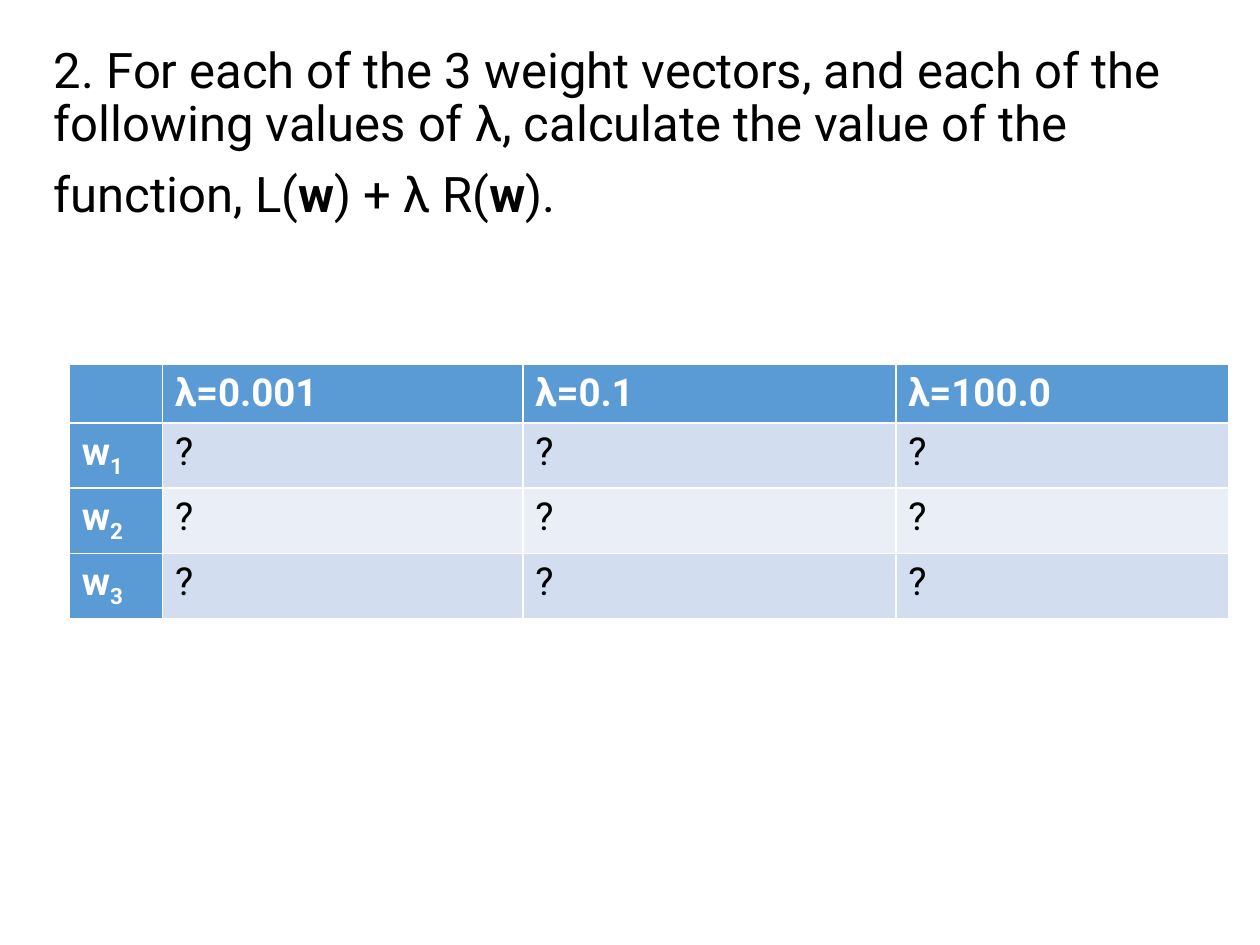
from typing import NamedTuple

from pptx import Presentation
from pptx.dml.color import RGBColor as Rgb
from pptx.util import Inches, Pt

FONT = "Roboto"
COLORS = {
    "text": "000000",
    "light": "FFFFFF",
    "head": "5B9BD5",
    "odd": "D2DEEF",
    "even": "EAEFF7",
}


class Part(NamedTuple):
    text: str
    bold: bool = False
    sub: bool = False


def write(para, parts: list[Part], size: int, color: str) -> None:
    font = para.font
    font.name, font.size = FONT, Pt(size)
    font.color.rgb = Rgb.from_string(COLORS[color])
    for part in parts:
        run = para.add_run()
        run.text = part.text
        run.font.bold = part.bold
        if part.sub:
            run.font._element.set("baseline", "-25000")


def paint(cell, parts: list[Part], fill: str, color: str) -> None:
    cell.fill.solid()
    cell.fill.fore_color.rgb = Rgb.from_string(COLORS[fill])
    write(cell.text_frame.paragraphs[0], parts, 22, color)


deck = Presentation()
deck.slide_width, deck.slide_height = Inches(10), Inches(7.5)
slide = deck.slides.add_slide(deck.slide_layouts[6])

# Question
QUESTION = [
    [Part("2. For each of the 3 weight vectors, and each of the "
          "following values of λ, calculate the value of the")],
    [Part("function, L("), Part("w", True), Part(") + λ R("),
     Part("w", True), Part(").")],
]
box = slide.shapes.add_textbox(
    Inches(0.33), Inches(0.32), Inches(9.67), Inches(7.01))
frame = box.text_frame
frame.word_wrap = True
for i, parts in enumerate(QUESTION):
    para = frame.add_paragraph() if i else frame.paragraphs[0]
    para.line_spacing, para.space_before = 0.9, Pt(10)
    write(para, parts, 28, "text")

# Table of values to fill in
LAMBDAS = ["0.001", "0.1", "100.0"]
WIDTHS = [0.74, 2.86, 2.96, 2.64]
HEIGHTS = [0.45, 0.5, 0.5, 0.5]
table = slide.shapes.add_table(
    len(HEIGHTS), len(WIDTHS), Inches(0.55), Inches(2.89),
    Inches(sum(WIDTHS)), Inches(sum(HEIGHTS))).table
table.first_col = True
for col, width in zip(table.columns, WIDTHS):
    col.width = Inches(width)
for row, height in zip(table.rows, HEIGHTS):
    row.height = Inches(height)

heads = [[]] + [[Part(f"λ={value}", True)] for value in LAMBDAS]
for c, parts in enumerate(heads):
    paint(table.cell(0, c), parts, "head", "light")
for r in range(1, len(HEIGHTS)):
    name = [Part("w", True), Part(str(r), True, True)]
    paint(table.cell(r, 0), name, "head", "light")
    for c in range(1, len(WIDTHS)):
        paint(table.cell(r, c), [Part("?")], "odd" if r % 2 else "even", "text")

deck.save("out.pptx")
